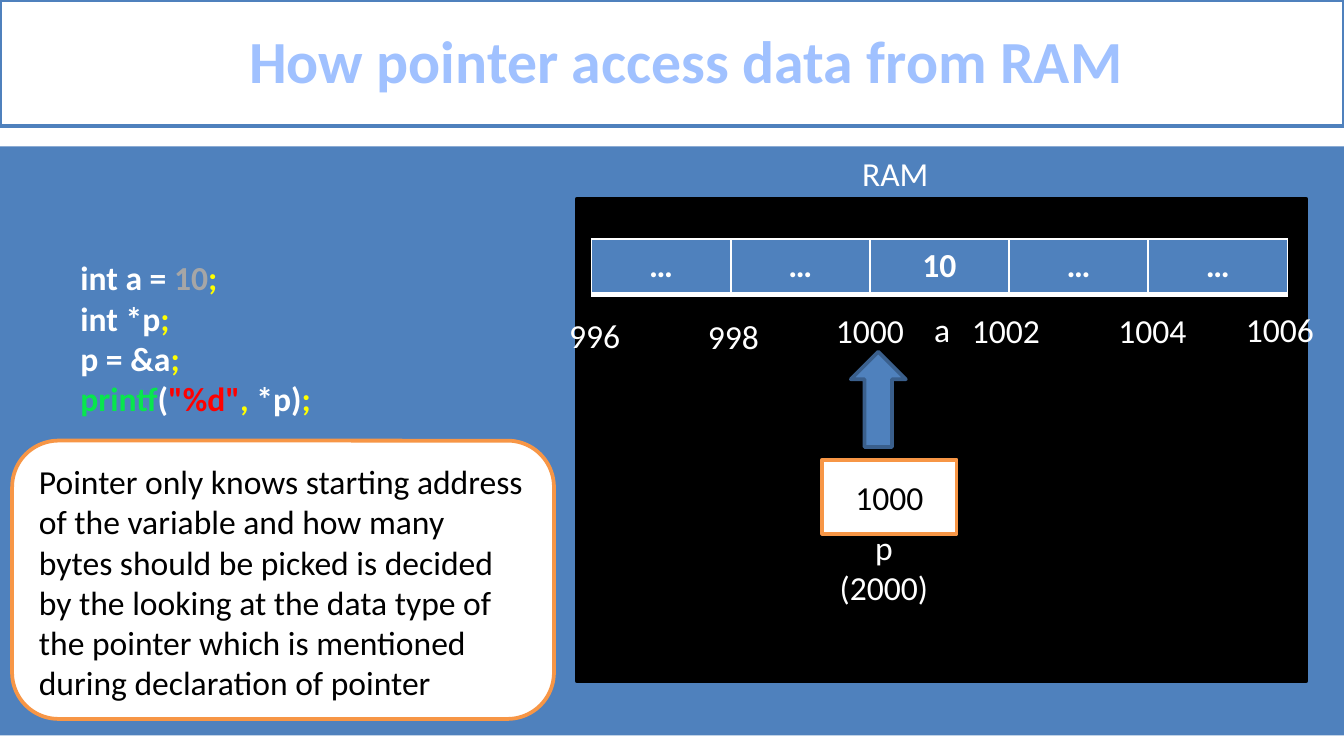
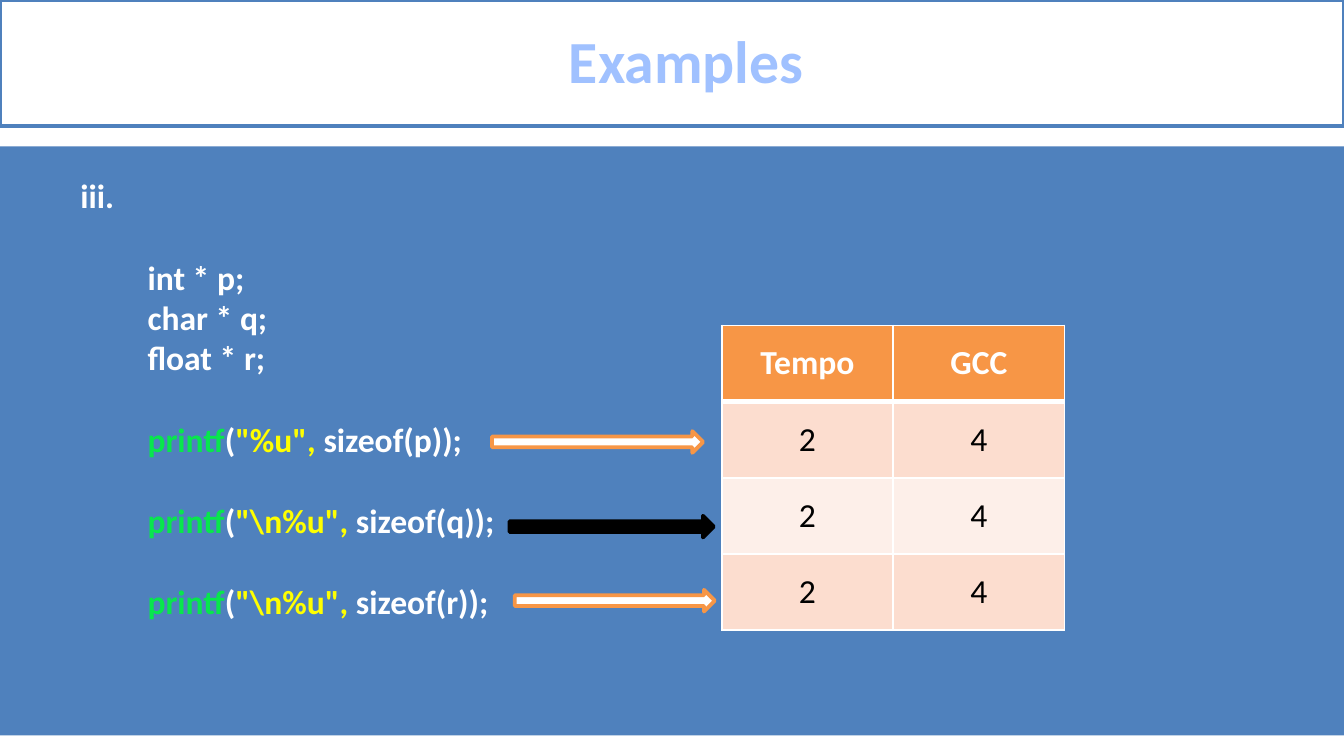
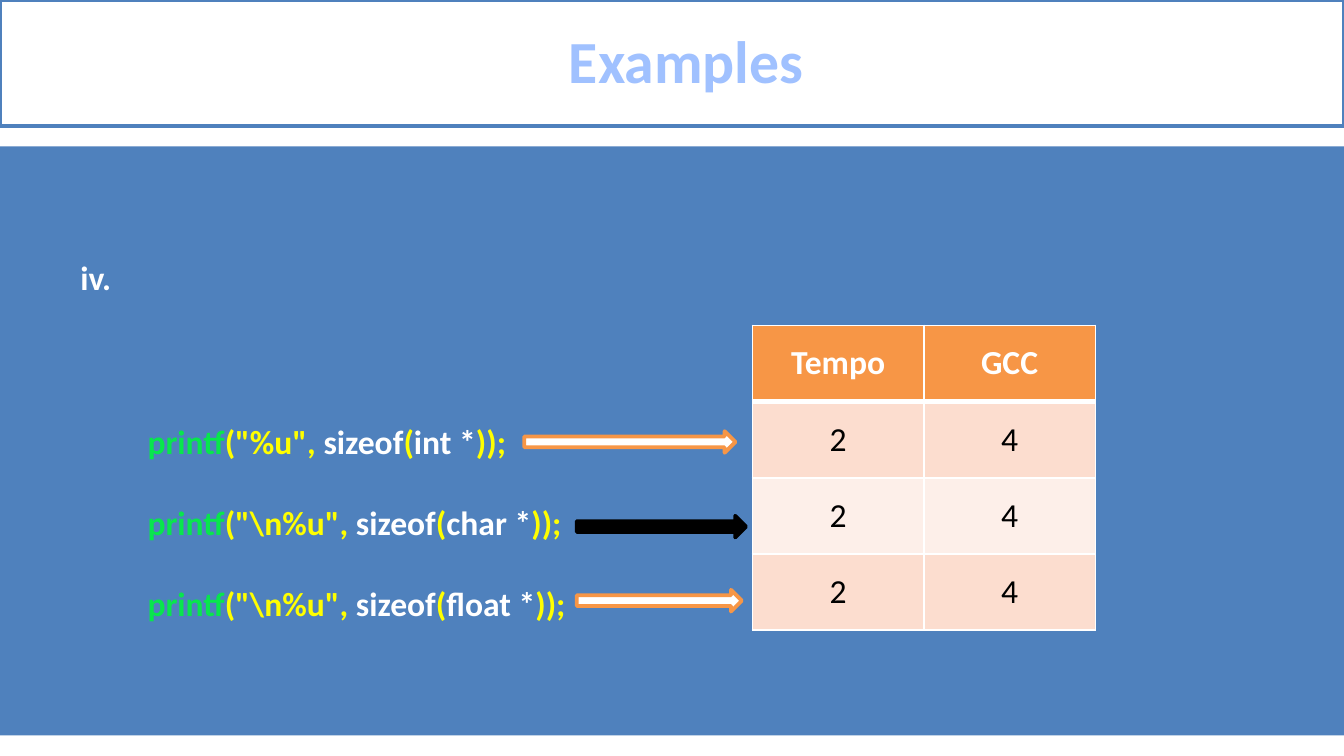
import pptx
import pptx.util
import pptx.dml.color
import pptx.enum.shapes
import pptx.enum.text
import pptx.oxml.ns
from lxml import etree

Cm, Pt = pptx.util.Cm, pptx.util.Pt
KIND = pptx.enum.shapes.MSO_SHAPE
ALIGN = pptx.enum.text.PP_ALIGN
ANCHOR = pptx.enum.text.MSO_ANCHOR

HUES = {
    "white": "FFFFFF", "black": "000000", "blue": "4F81BD", "navy": "3A5F8C",
    "title": "A0C1FF", "orange": "F79646", "peach": "FCDDCF", "cream": "FDEFE9",
    "green": "08E64D", "yellow": "FFFF00", "red": "FF0000", "gray": "A6A6A6",
}
FONT = "Calibri"
WIDTH, HEIGHT = 25.4, 14.29
LINE = 22  # points from one code line to the next
NEAR, FAR = 1.27, 2.54  # code indents
PRINT = ("printf", "green")
END = (";", "yellow")

# Code lines: blank lines above, indent, runs of (text, colour)
POINTER = [
    (0, NEAR, [("int a = ", "white"), ("10", "gray"), END]),
    (0, NEAR, [("int *p", "white"), END]),
    (0, NEAR, [("p = &a", "white"), END]),
    (0, NEAR, [PRINT, ("(", "white"), ('"%d"', "red"), (",", "yellow"),
               (" *p)", "white"), END]),
]
NOTE = [
    "Pointer only knows starting address of the variable and how many",
    "bytes should be picked is decided",
    "by the looking at the data type of the pointer which is mentioned "
    "during declaration of pointer",
]
CELLS = ["…", "…", "10", "…", "…"]
# Labels on the memory: lines, left, top, width
LABELS = [
    (["RAM"], 16.03, 2.77, 1.78), (["a"], 17.4, 5.72, 0.81),
    (["p", "(2000)"], 15.6, 9.83, 2.21),
    (["996"], 10.49, 5.82, 1.5), (["998"], 13.11, 5.84, 1.5),
    (["1000"], 15.54, 5.74, 1.8), (["1002"], 18.11, 5.74, 1.8),
    (["1004"], 20.88, 5.74, 1.8), (["1006"], 23.29, 5.72, 1.8),
]

FORMATS = ['"%u"', '"\\n%u"', '"\\n%u"']
SIZES = [["Tempo", "GCC"], ["2", "4"], ["2", "4"], ["2", "4"]]
VARS = [("int", "p"), ("char", "q"), ("float", "r")]
ARROWS = [(8.15, "white", "orange"), (9.75, "black", "black"),
          (11.15, "white", "orange")]  # top, fill, line

BY_VAR = [(0, NEAR, [("iii.", "white")])]
BY_VAR += [(int(i == 0), FAR, [(f"{kind} * {name};", "white")])
           for i, (kind, name) in enumerate(VARS)]
BY_VAR += [(1, FAR, [PRINT, ("(", "white"), (form + ", ", "yellow"),
                     (f"sizeof({name}));", "white")])
           for form, (kind, name) in zip(FORMATS, VARS)]
BY_TYPE = [(0, NEAR, [("iv.", "white")])]
BY_TYPE += [(3 if i == 0 else 1, FAR,
             [PRINT, (f"({form}, ", "yellow"), ("sizeof", "white"),
              ("(", "yellow"), (f"{kind} *", "white"), ("));", "yellow")])
            for i, (form, (kind, name)) in enumerate(zip(FORMATS, VARS))]

# Example slides: code, blank lines on top, table left, arrow (left, width)
EXAMPLES = [
    (BY_VAR, 0, 13.64, [(9.3, 3.99), (9.63, 3.86), (9.73, 3.78)]),
    (BY_TYPE, 2, 14.22, [(9.91, 3.99), (10.9, 3.2), (10.9, 3.12)]),
]


def rgb(name):
    return pptx.dml.color.RGBColor.from_string(HUES[name])


def write(frame, lines, size=18, color="white", bold=False, align=ALIGN.CENTER,
          anchor=ANCHOR.TOP, wrap=True, gap=None):
    """Fill a text frame; a line is a string or (blanks, indent, runs)."""
    frame.word_wrap = wrap
    frame.vertical_anchor = anchor
    for i, line in enumerate(lines):
        if isinstance(line, str):
            line = (0, 0, [(line, color)])
        blanks, indent, runs = line
        para = frame.paragraphs[0] if i == 0 else frame.add_paragraph()
        para.alignment = align
        if gap:
            para.line_spacing = gap
        if blanks:
            para.space_before = Pt(blanks * LINE)
        if indent:
            para._p.get_or_add_pPr().set("marL", str(Cm(indent)))
        for text, hue in runs:
            run = para.add_run()
            run.text = text
            run.font.name, run.font.size, run.font.bold = FONT, Pt(size), bold
            run.font.color.rgb = rgb(hue)


def shape(slide, kind, box, fill, line=None):
    item = slide.shapes.add_shape(kind, *map(Cm, box))
    item.shadow.inherit = False
    item.fill.solid()
    item.fill.fore_color.rgb = rgb(fill)
    if line:
        item.line.color.rgb = rgb(line)
        item.line.width = Pt(2)
    else:
        item.line.fill.background()
    return item


def label(slide, lines, box, **style):
    frame = slide.shapes.add_textbox(*map(Cm, box)).text_frame
    write(frame, lines, **style)
    return frame


def code(slide, lines, blanks, height):
    frame = label(slide, lines, (0, 3.18, WIDTH, height), bold=True,
                  align=ALIGN.LEFT)
    frame.margin_top = Cm(0.13) + Pt(blanks * LINE)


def edge(cell, bottom):
    """Draw white cell borders, with the given bottom width in points."""
    props = cell._tc.get_or_add_tcPr()
    for side, width in (("L", 1), ("R", 1), ("T", 1), ("B", bottom)):
        line = etree.SubElement(props, pptx.oxml.ns.qn(f"a:ln{side}"),
                                w=str(Pt(width)))
        fill = etree.SubElement(line, pptx.oxml.ns.qn("a:solidFill"))
        etree.SubElement(fill, pptx.oxml.ns.qn("a:srgbClr"), val=HUES["white"])


def grid(slide, rows, left, top, wide, high, head, anchor):
    """Add a table whose first row is a bold header over banded rows."""
    count = len(rows[0])
    table = slide.shapes.add_table(
        len(rows), count, Cm(left), Cm(top), Cm(wide * count),
        Cm(high * len(rows))).table
    for col in table.columns:
        col.width = Cm(wide)
    for r, row in enumerate(rows):
        table.rows[r].height = Cm(high)
        fill = head if r == 0 else ("cream", "peach")[r % 2]
        for c, text in enumerate(row):
            cell = table.cell(r, c)
            edge(cell, 3 if r == 0 else 1)
            cell.fill.solid()
            cell.fill.fore_color.rgb = rgb(fill)
            write(cell.text_frame, [text], bold=r == 0,
                  color="white" if r == 0 else "black")
            cell.vertical_anchor = anchor


def page(deck, title):
    slide = deck.slides.add_slide(deck.slide_layouts[6])
    shape(slide, KIND.RECTANGLE, (0, 2.77, WIDTH, 11.13), "blue")
    band = shape(slide, KIND.RECTANGLE, (0, 0, WIDTH, 2.39), "white", "blue")
    write(band.text_frame, [title], size=32, color="title", bold=True,
          anchor=ANCHOR.MIDDLE, gap=0.96)
    band.text_frame.margin_left = Cm(0.79)
    return slide


def memory(deck):
    slide = page(deck, "How pointer access data from RAM")
    code(slide, POINTER, 2, 11.02)
    shape(slide, KIND.RECTANGLE, (10.9, 3.76, 13.79, 9.12), "black", "black")
    box = shape(slide, KIND.RECTANGLE, (15.54, 8.69, 2.54, 1.4),
                "white", "orange")
    write(box.text_frame, ["1000"], color="black", anchor=ANCHOR.MIDDLE)
    shape(slide, KIND.UP_ARROW, (16.08, 6.65, 1.04, 1.8), "blue", "navy")
    grid(slide, [CELLS], 11.18, 4.52, 2.63, 1.04, "blue", ANCHOR.TOP)
    for lines, left, top, wide in LABELS:
        high = 0.25 + 0.77 * len(lines)
        label(slide, lines, (left, top, wide, high), wrap=False)
    note = shape(slide, KIND.ROUNDED_RECTANGLE, (0.23, 8.33, 10.24, 5.26),
                 "white", "orange")
    write(note.text_frame, NOTE, color="black", align=ALIGN.LEFT)


def example(deck, lines, blanks, left, spans):
    slide = page(deck, "Examples")
    code(slide, lines, blanks, 8.71)
    grid(slide, SIZES, left, 6.15, 3.24, 1.44, "orange", ANCHOR.MIDDLE)
    for (start, wide), (top, fill, line) in zip(spans, ARROWS):
        shape(slide, KIND.RIGHT_ARROW, (start, top, wide, 0.41), fill, line)


def main():
    deck = pptx.Presentation()
    deck.slide_width, deck.slide_height = Cm(WIDTH), Cm(HEIGHT)
    memory(deck)
    for parts in EXAMPLES:
        example(deck, *parts)
    deck.save("out.pptx")


if __name__ == "__main__":
    main()
